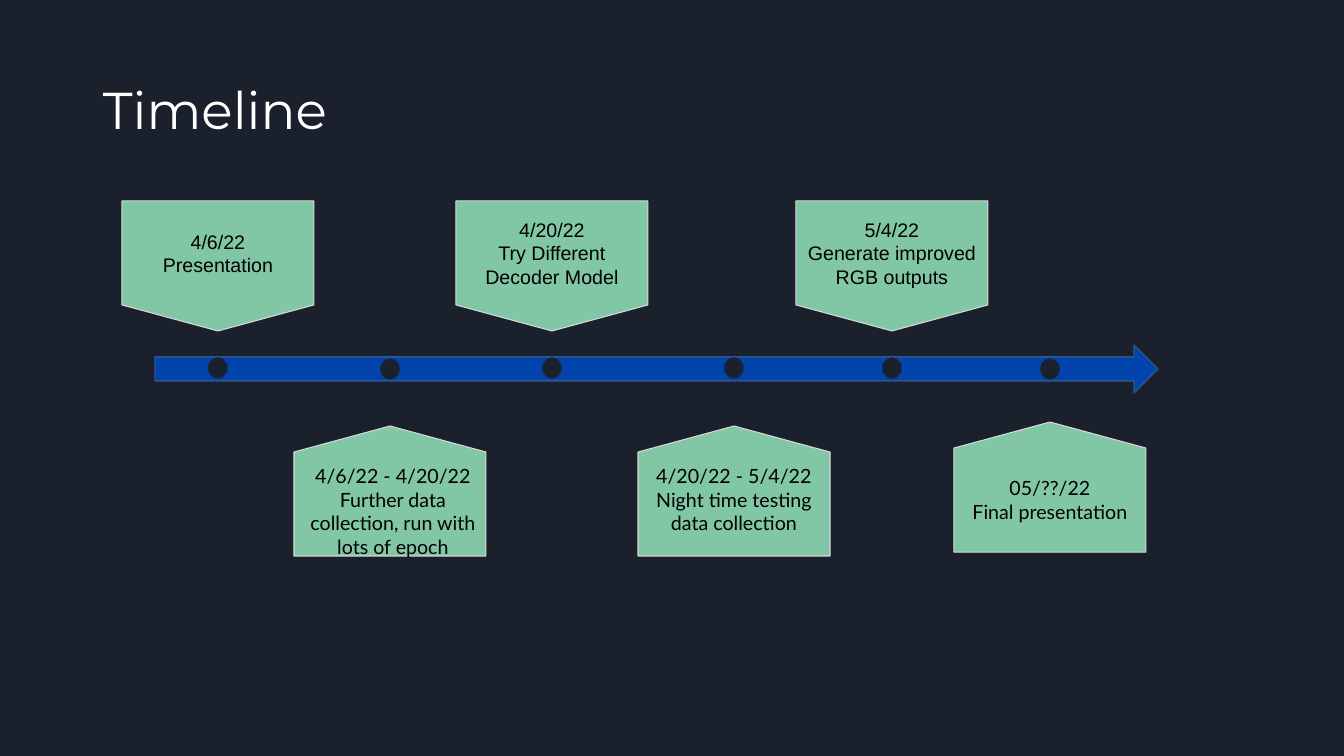
import pptx
import pptx.dml.color
import pptx.enum.shapes
import pptx.enum.text
import pptx.util

SHAPE = pptx.enum.shapes.MSO_SHAPE
ANCHOR = pptx.enum.text.MSO_ANCHOR
ALIGN = pptx.enum.text.PP_ALIGN
COLORS = {"night": "1B212C", "white": "FFFFFF", "black": "000000", "blue": "0145AC",
          "edge": "31538F", "green": "82C7A5", "grey": "D9D9D9"}
CARD_W, CARD_H = 192, 130


def px(n):
    return round(n * 914400 / 100.8)


def rgb(name):
    return pptx.dml.color.RGBColor.from_string(COLORS[name])


class Deck:
    def __init__(self):
        self.prs = pptx.Presentation()
        self.prs.slide_width, self.prs.slide_height = px(1344), px(756)
        self.s = self.prs.slides.add_slide(self.prs.slide_layouts[5])
        bg = self.s.background.fill
        bg.solid()
        bg.fore_color.rgb = rgb("night")

    def text(self, sp, lines, font, size, color, align, anchor, inset=10, spacing=1.0):
        tf = sp.text_frame
        frame = {"word_wrap": True, "auto_size": pptx.enum.text.MSO_AUTO_SIZE.NONE,
                 "vertical_anchor": anchor, "margin_left": px(10), "margin_right": px(10),
                 "margin_top": px(inset), "margin_bottom": px(inset)}
        for key, value in frame.items():
            setattr(tf, key, value)
        for i, line in enumerate(lines):
            p = tf.paragraphs[0] if i == 0 else tf.add_paragraph()
            p.alignment, p.line_spacing = align, spacing
            r = p.add_run()
            r.text = line
            for key, value in {"name": font, "size": pptx.util.Pt(size), "bold": False}.items():
                setattr(r.font, key, value)
            r.font.color.rgb = rgb(color)

    def title(self, title, x, y, w, h):
        sp = self.s.shapes.title
        for key, value in {"left": x, "top": y, "width": w, "height": h}.items():
            setattr(sp, key, px(value))
        self.text(sp, [title], "Montserrat", 37, "white", ALIGN.LEFT, ANCHOR.MIDDLE, 5, 0.9)

    def shape(self, kind, x, y, w, h, fill, line, weight):
        sp = self.s.shapes.add_shape(kind, px(x), px(y), px(w), px(h))
        sp.shadow.inherit = False
        sp.fill.solid()
        sp.fill.fore_color.rgb = rgb(fill)
        sp.line.color.rgb = rgb(line)
        sp.line.width = pptx.util.Pt(weight)
        return sp

    def dot(self, cx, y):
        self.shape(SHAPE.OVAL, cx - 9, y, 18, 20, "night", "night", 1)

    def card(self, cx, y):
        return self.shape(SHAPE.FLOWCHART_OFFPAGE_CONNECTOR, cx - CARD_W // 2, y,
                          CARD_W, CARD_H, "green", "grey", 0.75)

    def card_above(self, cx, y, lines):
        self.text(self.card(cx, y), lines, "Arial", 14, "black", ALIGN.CENTER, ANCHOR.MIDDLE)

    def card_below(self, cx, y, lines, text_cx, text_y, text_h):
        # The card is turned over, so its text sits in an upright box
        self.card(cx, y).rotation = 180
        sp = self.s.shapes.add_textbox(px(text_cx - CARD_W // 2), px(text_y),
                                       px(CARD_W), px(text_h))
        self.text(sp, lines, "Lato", 14, "black", ALIGN.CENTER, ANCHOR.TOP)


def main():
    deck = Deck()
    deck.title("Timeline", 93, 40, 1159, 146)

    # Time arrow
    deck.shape(SHAPE.RIGHT_ARROW, 155, 345, 1003, 48, "blue", "edge", 1)

    # Milestones above the arrow
    for cx, lines in [(218, ["4/6/22", "Presentation"]),
                      (552, ["4/20/22", "Try Different Decoder Model"]),
                      (892, ["5/4/22", "Generate improved RGB outputs"])]:
        deck.dot(cx, 358)
        deck.card_above(cx, 201, lines)

    # Work periods and the final date below the arrow
    further = ["4/6/22 - 4/20/22", "Further data collection, run with lots of epoch"]
    night = ["4/20/22 - 5/4/22", "Night time testing data collection"]
    final = ["05/??/22", "Final presentation"]
    for cx, dot_y, y, lines, text_cx, text_y, text_h in [
            (390, 359, 426, further, 393, 454, 115),
            (734, 358, 426, night, 734, 454, 115),
            (1050, 359, 422, final, 1050, 466, 68)]:
        deck.dot(cx, dot_y)
        deck.card_below(cx, y, lines, text_cx, text_y, text_h)

    deck.prs.save("out.pptx")


if __name__ == "__main__":
    main()
